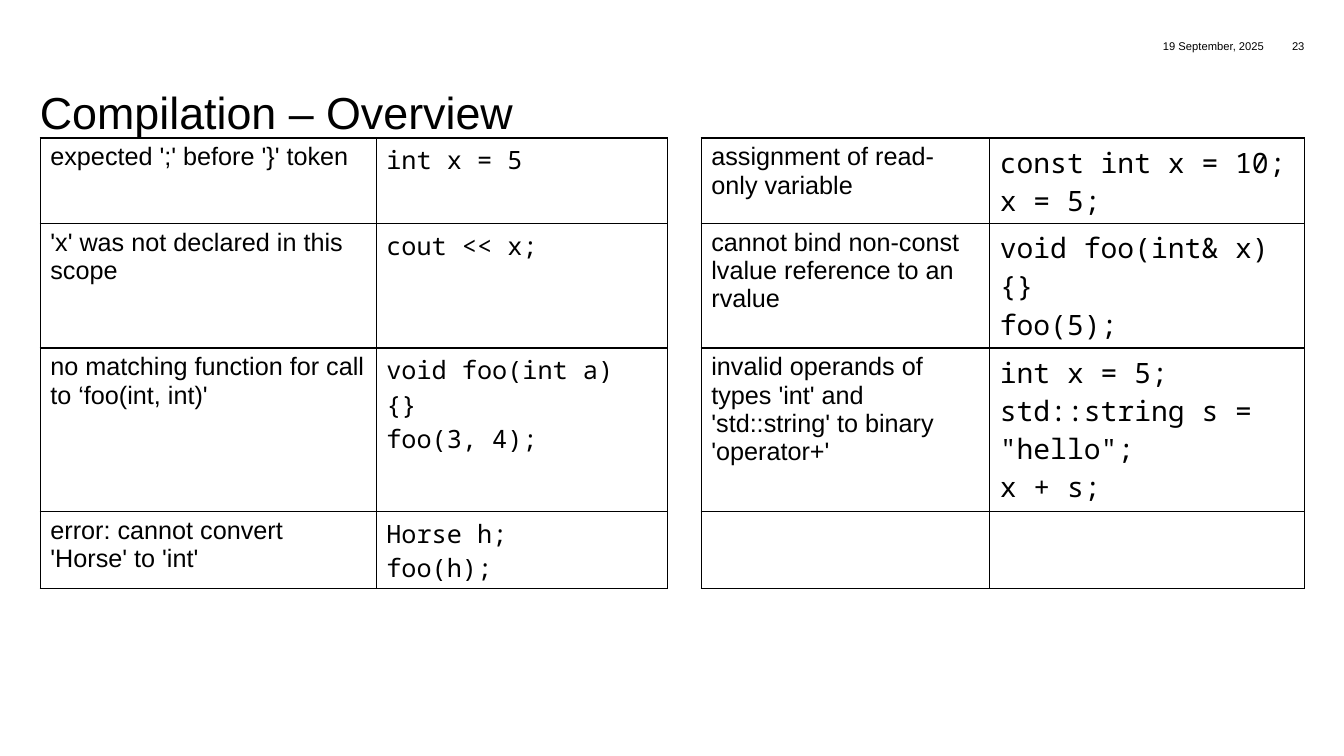
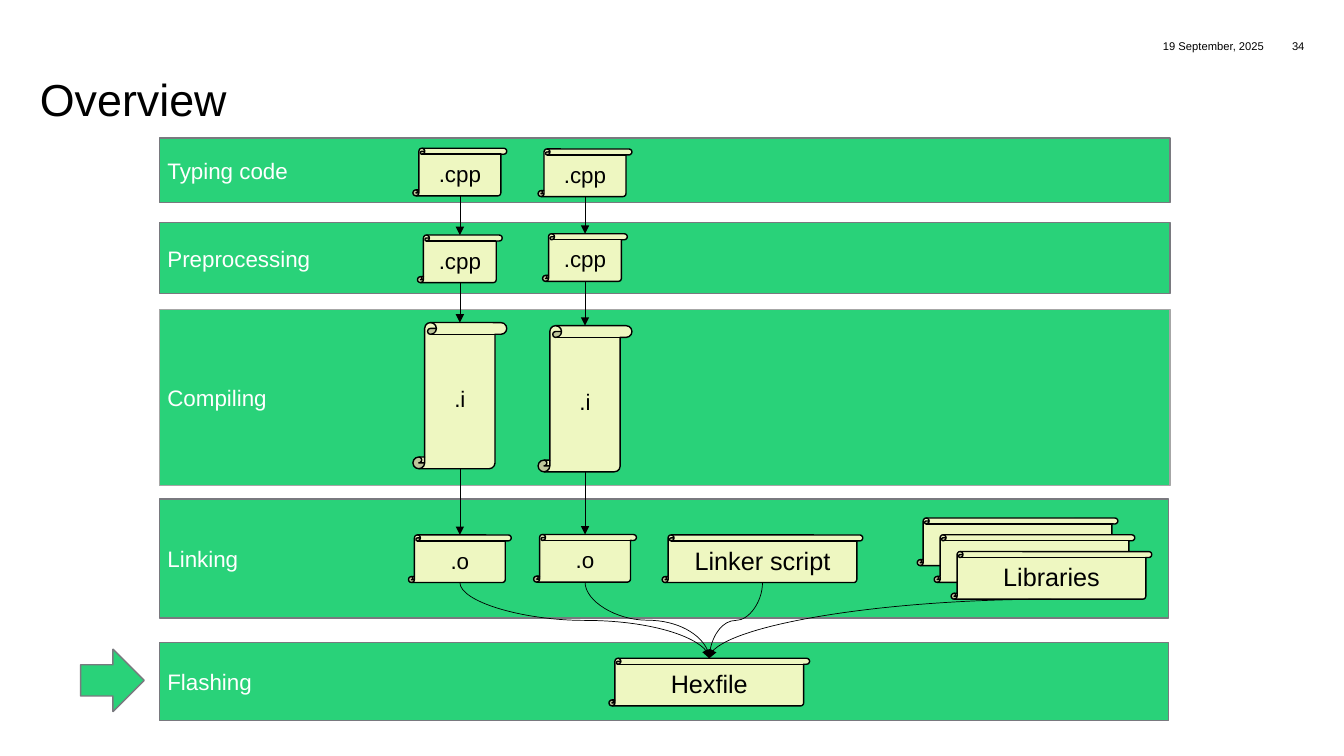
"""Build two slides on C++ compilation: common compiler errors and the build pipeline."""
from lxml import etree
from pptx import Presentation
from pptx.dml.color import RGBColor
from pptx.enum.shapes import MSO_CONNECTOR, MSO_SHAPE
from pptx.enum.text import MSO_ANCHOR, MSO_AUTO_SIZE, PP_ALIGN
from pptx.oxml import parse_xml
from pptx.oxml.ns import nsdecls, qn
from pptx.util import Pt

LEFT, CENTER, RIGHT = PP_ALIGN.LEFT, PP_ALIGN.CENTER, PP_ALIGN.RIGHT
MIDDLE, BOTTOM = MSO_ANCHOR.MIDDLE, MSO_ANCHOR.BOTTOM
NO_FIT = MSO_AUTO_SIZE.NONE
RECTANGLE, SCROLL, ARROW = MSO_SHAPE.RECTANGLE, MSO_SHAPE.VERTICAL_SCROLL, MSO_SHAPE.RIGHT_ARROW
STRAIGHT, CURVE = MSO_CONNECTOR.STRAIGHT, MSO_CONNECTOR.CURVE
TOP_SITE, BOTTOM_SITE = 0, 2

COLORS = {
    "text": "000000",
    "light": "FFFFFF",
    "band": "29D279",
    "edge": "79797F",
    "soft_edge": "A6A6A6",
    "scroll": "EEF7C1",
}
SANS, MONO = "Arial", "Noto Sans Mono"


def write(frame, lines, size, color="text", font=SANS, align=LEFT, margins=(0, 0)):
    """Write one paragraph per line with a single text style."""
    frame.word_wrap = True
    frame.margin_left = frame.margin_right = Pt(margins[0])
    frame.margin_top = frame.margin_bottom = Pt(margins[1])
    for index, line in enumerate(lines):
        para = frame.add_paragraph() if index else frame.paragraphs[0]
        para.alignment = align
        span = para.add_run()
        span.text = line
        span.font.size = Pt(size)
        span.font.name = font
        span.font.color.rgb = RGBColor.from_string(COLORS[color])


def draw(shapes, kind, bounds, fill, edge, label="", size=16, color="text", align=CENTER):
    """Draw a filled preset shape with an optional label."""
    shape = shapes.add_shape(kind, *map(Pt, bounds))
    shape.shadow.inherit = False
    shape.fill.solid()
    shape.fill.fore_color.rgb = RGBColor.from_string(COLORS[fill])
    shape.line.color.rgb = RGBColor.from_string(COLORS[edge])
    shape.line.width = Pt(1)
    if label:
        shape.text_frame.vertical_anchor = MIDDLE
        write(shape.text_frame, [label], size, color, align=align, margins=(5.76, 2.88))
    return shape


deck = Presentation()
deck.slide_width, deck.slide_height = Pt(960), Pt(540)

pages = []
for heading, heading_top, number in [("Compilation – Overview", 53.3, "23"), ("Overview", 43.9, "34")]:
    page = deck.slides.add_slide(deck.slide_layouts[5])
    title = page.shapes.title
    title.left, title.top, title.width, title.height = map(Pt, (28.5, heading_top, 903.6, 45.4))
    write(title.text_frame, [heading], 32)
    title.text_frame.auto_size = NO_FIT
    title.text_frame.vertical_anchor = BOTTOM
    title.text_frame.paragraphs[0].line_spacing = 0.83
    for left, width, text in [(805, 98, "19 September, 2025"), (903, 28.8, number)]:
        box = page.shapes.add_textbox(Pt(left), Pt(28), Pt(width), Pt(15))
        write(box.text_frame, [text], 8, align=RIGHT)
    pages.append(page)
errors_page, pipeline_page = pages

error_rows = [
    (61, ["expected ';' before '}' token"], ["int x = 5"],
     ["assignment of read-only variable"], ["const int x = 10;", "x = 5;"]),
    (89, ["'x' was not declared in this scope"], ["cout << x;"],
     ["cannot bind non-const lvalue reference to an rvalue"], ["void foo(int& x) {}", "foo(5);"]),
    (117, ["no matching function for call to ‘foo(int, int)'"], ["void foo(int a) {}", "foo(3, 4);"],
     ["invalid operands of types 'int' and 'std::string' to binary 'operator+'"],
     ["int x = 5;", "std::string s = \"hello\";", "x + s;"]),
    (55, ["error: cannot convert 'Horse' to 'int'"], ["Horse h;", "foo(h);"], [], []),
]
column_widths = [240, 208, 24.2, 206, 224.8]
column_styles = [(18, SANS), (18, MONO), (18, SANS), (18, SANS), (20, MONO)]
GAP_COLUMN = 2

table_frame = errors_page.shapes.add_table(
    len(error_rows), len(column_widths), Pt(28.8), Pt(98.6),
    Pt(sum(column_widths)), Pt(sum(row[0] for row in error_rows)))
table = table_frame.table
table.first_row = table.horz_banding = False
for column, width in zip(table.columns, column_widths):
    column.width = Pt(width)
for row_index, (height, error, code, second_error, second_code) in enumerate(error_rows):
    table.rows[row_index].height = Pt(height)
    for column_index, lines in enumerate([error, code, [], second_error, second_code]):
        cell = table.cell(row_index, column_index)
        size, font = column_styles[column_index]
        write(cell.text_frame, lines, size, font=font, margins=(7.2, 3.6))
        cell.fill.background()
        properties = cell._tc.get_or_add_tcPr()
        for position, side in enumerate("LRTB"):
            is_open = column_index == GAP_COLUMN and side in "TB"
            paint = "<a:noFill/>" if is_open else (
                f'<a:solidFill><a:srgbClr val="{COLORS["text"]}"/></a:solidFill>')
            border = parse_xml(f'<a:ln{side} {nsdecls("a")} w="{Pt(1)}">{paint}</a:ln{side}>')
            properties.insert(position, border)

shapes = pipeline_page.shapes
for label, top, width, height, edge in [
    ("Typing code", 98.6, 722, 46.2, "edge"),
    ("Preprocessing", 159.1, 722, 50.5, "edge"),
    ("Compiling", 221, 722, 126, "soft_edge"),
    ("Linking", 356.4, 720.7, 85, "edge"),
    ("Flashing", 458.8, 720.7, 56, "edge"),
]:
    draw(shapes, RECTANGLE, (113.8, top, width, height), "band", edge, label, color="light", align=LEFT)

file_stages = [
    (".cpp", 67, 34, (105.9, 106.4)),
    (".cpp", 60.5, 34, (167.9, 167)),
    (".i", 67, 104.4, (230.4, 232.6)),
    (".o", 73.4, 34, (382.1, 381.8)),
]
file_columns = [[], []]
for label, width, height, tops in file_stages:
    for index, top in enumerate(tops):
        left = 328.5 + 89.4 * index - width / 2
        scroll = draw(shapes, SCROLL, (left, top, width, height), "scroll", "text", label)
        file_columns[index].append(scroll)

linker_script = draw(shapes, SCROLL, (473, 382.1, 143.3, 34), "scroll", "text", "Linker script", 18)
library_group = shapes.add_group_shape()
for index in range(3):
    bounds = (655.2 + 12.1 * index, 370 + 12 * index, 143.3, 34)
    draw(library_group.shapes, SCROLL, bounds, "scroll", "text", "Libraries", 18)
hexfile = draw(shapes, SCROLL, (435, 470.2, 143.3, 34), "scroll", "text", "Hexfile", 18)

connectors = []
links = [(STRAIGHT, *pair) for files in file_columns for pair in zip(files, files[1:])]
links += [(CURVE, source, hexfile) for source in (file_columns[0][-1], file_columns[1][-1], linker_script)]
for kind, source, target in links:
    connector = shapes.add_connector(kind, 0, 0, 0, 0)
    connector.begin_connect(source, BOTTOM_SITE)
    connector.end_connect(target, TOP_SITE)
    if kind == CURVE:
        run = connector.end_x - connector.begin_x
        drop = connector.end_y - connector.begin_y
        middle_x = (connector.begin_x + connector.end_x) // 2
        middle_y = (connector.begin_y + connector.end_y) // 2
        connector.width, connector.height = drop, abs(run)
        connector.left, connector.top = middle_x - drop // 2, middle_y - abs(run) // 2
        transform = connector._element.spPr.find(qn("a:xfrm"))
        transform.set("rot", str((270 if run > 0 else 90) * 60000))
        transform.set("flipH", "1" if run > 0 else "0")
        transform.set("flipV", "0")
    connectors.append(connector)

library_link = shapes.add_connector(CURVE, Pt(751), Pt(428), Pt(506.7), Pt(470.2))
library_link._element.spPr.find(qn("a:prstGeom")).set("prst", "curvedConnector2")
connectors.append(library_link)

for connector in connectors:
    connector.line.color.rgb = RGBColor.from_string(COLORS["text"])
    connector.line.width = Pt(0.5)
    etree.SubElement(connector.line._get_or_add_ln(), qn("a:tailEnd"), type="triangle")
    etree.SubElement(connector._element.spPr, qn("a:effectLst"))

draw(shapes, ARROW, (57.6, 463.7, 45.4, 44.6), "band", "edge")

deck.save("out.pptx")
